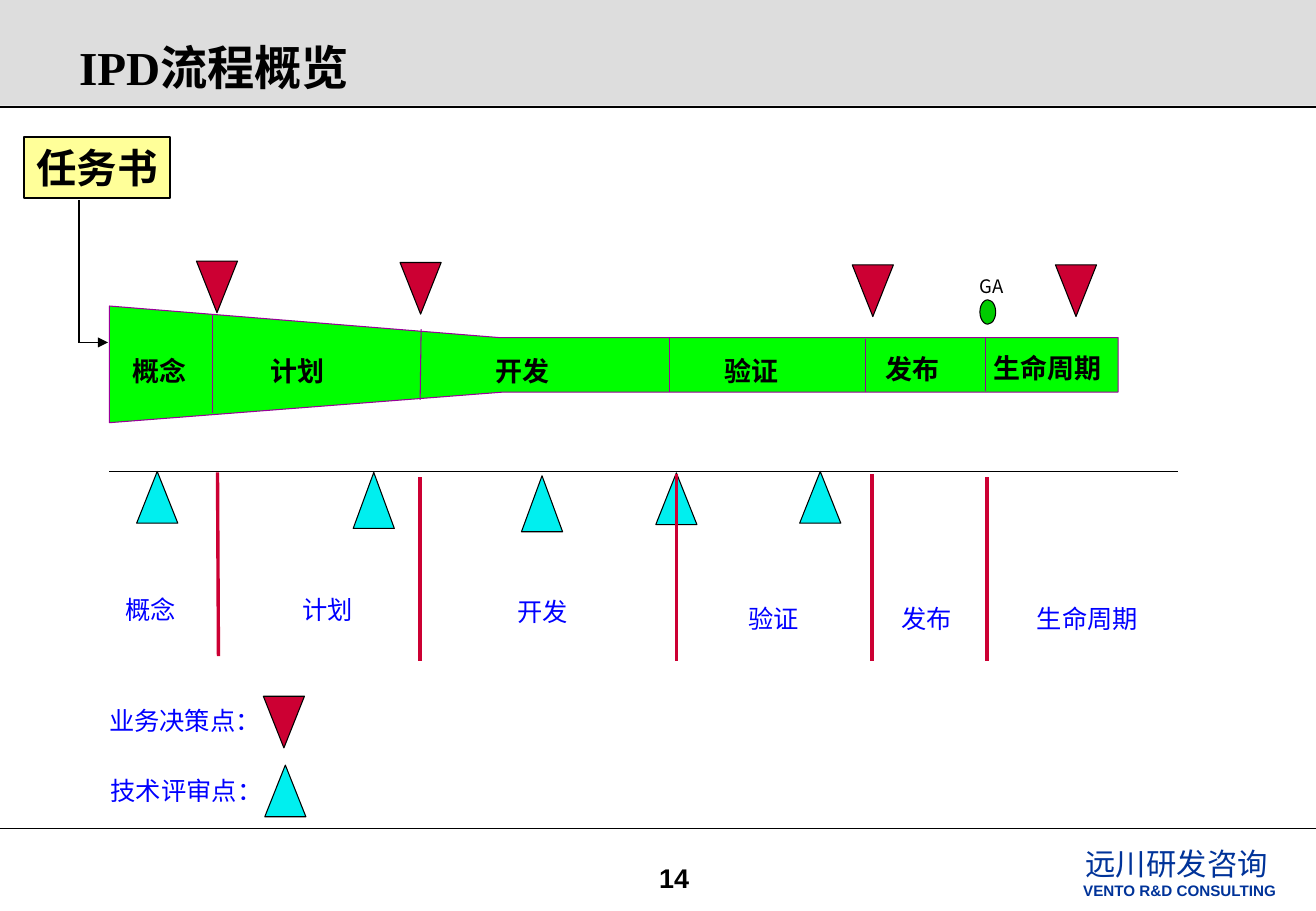
from dataclasses import dataclass

from lxml import etree
from pptx import Presentation
from pptx.dml.color import RGBColor
from pptx.enum import shapes, text
from pptx.oxml.ns import qn
from pptx.util import Cm, Pt

BLACK = RGBColor(0x00, 0x00, 0x00)
BAND = RGBColor(0xDD, 0xDD, 0xDD)
NAVY = RGBColor(0x00, 0x33, 0x99)
BLUE = RGBColor(0x00, 0x00, 0xFF)
CRIMSON = RGBColor(0xCC, 0x00, 0x33)
CYAN = RGBColor(0x00, 0xEF, 0xEF)
LIME = RGBColor(0x00, 0xFF, 0x00)
GREEN = RGBColor(0x00, 0xCC, 0x00)
PURPLE = RGBColor(0x99, 0x00, 0x99)
YELLOW = RGBColor(0xFF, 0xFF, 0x99)

CJK = "Noto Sans CJK SC"
WIDTH, HEIGHT = 27.53, 19.05
EM = 2.54 / 72  # centimetres per point
THIN = 0.62
LEFT, CENTER = text.PP_ALIGN.LEFT, text.PP_ALIGN.CENTER


@dataclass
class Label:
    text: str
    x: float  # centre, or left edge when aligned left
    y: float  # middle
    size: float = 15
    color: RGBColor = BLUE
    bold: bool = False
    font: str = CJK
    align: text.PP_ALIGN = CENTER


@dataclass
class Rule:
    x1: float
    y1: float
    x2: float
    y2: float
    color: RGBColor = BLACK
    width: float = THIN
    arrow: bool = False


@dataclass
class Marker:
    x: float  # centre
    y: float  # top
    height: float = 1.08
    down: bool = False


def write(tf, label: Label) -> None:
    tf.vertical_anchor = text.MSO_ANCHOR.MIDDLE
    p = tf.paragraphs[0]
    p.text = label.text
    p.alignment = label.align
    p.font.size = Pt(label.size)
    p.font.bold = label.bold
    p.font.color.rgb = label.color
    p.font.name = label.font
    etree.SubElement(p._p.pPr.find(qn("a:defRPr")), qn("a:ea"), typeface=CJK)


def add_label(s, label: Label) -> None:
    w, h = len(label.text) * label.size * EM, 1.2 * label.size * EM
    x = label.x - w / 2 if label.align == CENTER else label.x
    tf = s.shapes.add_textbox(Cm(x), Cm(label.y - h / 2), Cm(w), Cm(h)).text_frame
    tf.margin_left = tf.margin_right = tf.margin_top = tf.margin_bottom = 0
    tf.word_wrap = False
    write(tf, label)


def paint(sp, fill: RGBColor, line: RGBColor | None, width: float = THIN) -> None:
    sp.shadow.inherit = False
    sp.fill.solid()
    sp.fill.fore_color.rgb = fill
    if line is None:
        sp.line.fill.background()
    else:
        sp.line.color.rgb = line
        sp.line.width = Pt(width)


def add_polygon(s, points: list[tuple[float, float]], fill: RGBColor, line: RGBColor) -> None:
    (x, y), *rest = [(Cm(px), Cm(py)) for px, py in points]
    builder = s.shapes.build_freeform(x, y)
    builder.add_line_segments(rest, close=True)
    paint(builder.convert_to_shape(), fill, line)


def add_marker(s, m: Marker) -> None:
    base, apex = (m.y, m.y + m.height) if m.down else (m.y + m.height, m.y)
    points = [(m.x - 0.43, base), (m.x + 0.43, base), (m.x, apex)]
    add_polygon(s, points, CRIMSON if m.down else CYAN, BLACK)


def add_rule(s, rule: Rule) -> None:
    ends = [Cm(v) for v in (rule.x1, rule.y1, rule.x2, rule.y2)]
    c = s.shapes.add_connector(shapes.MSO_CONNECTOR.STRAIGHT, *ends)
    c.line.color.rgb = rule.color
    c.line.width = Pt(rule.width)
    if rule.arrow:
        etree.SubElement(c.line._get_or_add_ln(), qn("a:tailEnd"), type="triangle")
    etree.SubElement(c._element.spPr, qn("a:effectLst"))


FRAME_RULES = [Rule(0, y, WIDTH, y, width=0.75) for y in (2.24, 17.32)]
FOOTER = [
    Label("14", 14.1, 18.36, 16, BLACK, True, "Arial"),
    Label("远川研发咨询", 22.71, 18.06, 18, NAVY, False, "Times New Roman", LEFT),
    Label("VENTO R&D CONSULTING", 22.66, 18.61, 9, NAVY, True, "Arial", LEFT),
]
REVIEWS = [
    Marker(3.29, 9.86),
    Marker(7.82, 9.88, 1.17),
    Marker(11.34, 9.95, 1.17),
    Marker(14.15, 9.89),
    Marker(17.16, 9.86),
    Marker(5.97, 16),
]
DECISIONS = [
    Marker(x, y, down=True)
    for x, y in [(4.54, 5.46), (8.8, 5.49), (18.26, 5.54), (22.51, 5.54), (5.94, 14.56)]
]
FUNNEL = [(2.29, 6.4), (10.44, 7.06), (23.39, 7.06), (23.39, 8.2), (10.54, 8.2), (2.29, 8.84)]
FUNNEL_RULES = [
    Rule(x1, y1, x2, y2, PURPLE)
    for x1, y1, x2, y2 in [
        (4.44, 6.58, 4.44, 8.64),
        (8.79, 8.36, 8.81, 6.88),
        (14, 8.2, 14, 7.04),
        (18.11, 7.09, 18.11, 8.2),
        (20.62, 7.06, 20.62, 8.18),
    ]
]
TIMELINE = [Rule(2.29, 9.86, 24.64, 9.86), Rule(4.55, 9.88, 4.57, 13.72, CRIMSON, 0)] + [
    Rule(x, y, x, 13.82, CRIMSON, 0)
    for x, y in [(8.79, 9.98), (14.15, 9.91), (18.24, 9.91), (20.65, 9.98)]
]
# phase, position in the funnel, position under the timeline
PHASES = [
    ("概念", 3.33, 7.76, 3.15, 12.74),
    ("计划", 6.22, 7.76, 6.86, 12.74),
    ("开发", 10.92, 7.76, 11.35, 12.79),
    ("验证", 15.72, 7.76, 16.18, 12.94),
    ("发布", 19.08, 7.71, 19.39, 12.94),
    ("生命周期", 21.91, 7.68, 22.75, 12.94),
]
NOTES = [
    Label("GA", 20.74, 5.99, 11, BLACK),
    Label("业务决策点：", 3.87, 15.07),
    Label("技术评审点：", 3.9, 16.52),
]
CHARTER_ARROW = [Rule(1.65, 4.19, 1.65, 7.18, width=1), Rule(1.65, 7.16, 2.26, 7.16, width=1, arrow=True)]


def main() -> None:
    prs = Presentation()
    prs.slide_width, prs.slide_height = Cm(WIDTH), Cm(HEIGHT)
    s = prs.slides.add_slide(prs.slide_layouts[5])

    # Header band behind the title
    band = s.shapes.add_shape(shapes.MSO_SHAPE.RECTANGLE, 0, 0, Cm(WIDTH), Cm(2.21))
    paint(band, BAND, None)
    s.shapes._spTree.insert(2, band._element)
    title = s.shapes.title
    title.left, title.top, title.width, title.height = Cm(1.4), Cm(0.66), Cm(9.37), Cm(1.45)
    write(title.text_frame, Label("IPD流程概览", 0, 0, 28, BLACK, True, "Times New Roman", LEFT))

    # Funnel, timeline and markers
    for marker in REVIEWS + DECISIONS:
        add_marker(s, marker)
    add_polygon(s, FUNNEL, LIME, PURPLE)
    for rule in FRAME_RULES + FUNNEL_RULES + TIMELINE + CHARTER_ARROW:
        add_rule(s, rule)
    ga = s.shapes.add_shape(shapes.MSO_SHAPE.OVAL, Cm(20.5), Cm(6.27), Cm(0.33), Cm(0.51))
    paint(ga, GREEN, BLACK)

    # Charter box
    charter = s.shapes.add_shape(shapes.MSO_SHAPE.RECTANGLE, Cm(0.51), Cm(2.87), Cm(3.05), Cm(1.27))
    paint(charter, YELLOW, BLACK, 1)
    charter.text_frame.word_wrap = False
    write(charter.text_frame, Label("任务书", 0, 0, 24, BLACK, True))

    # Phase names, legend and footer
    for name, x, y, below_x, below_y in PHASES:
        add_label(s, Label(name, x, y, 16, BLACK, True))
        add_label(s, Label(name, below_x, below_y))
    for label in NOTES + FOOTER:
        add_label(s, label)

    prs.save("out.pptx")


if __name__ == "__main__":
    main()
